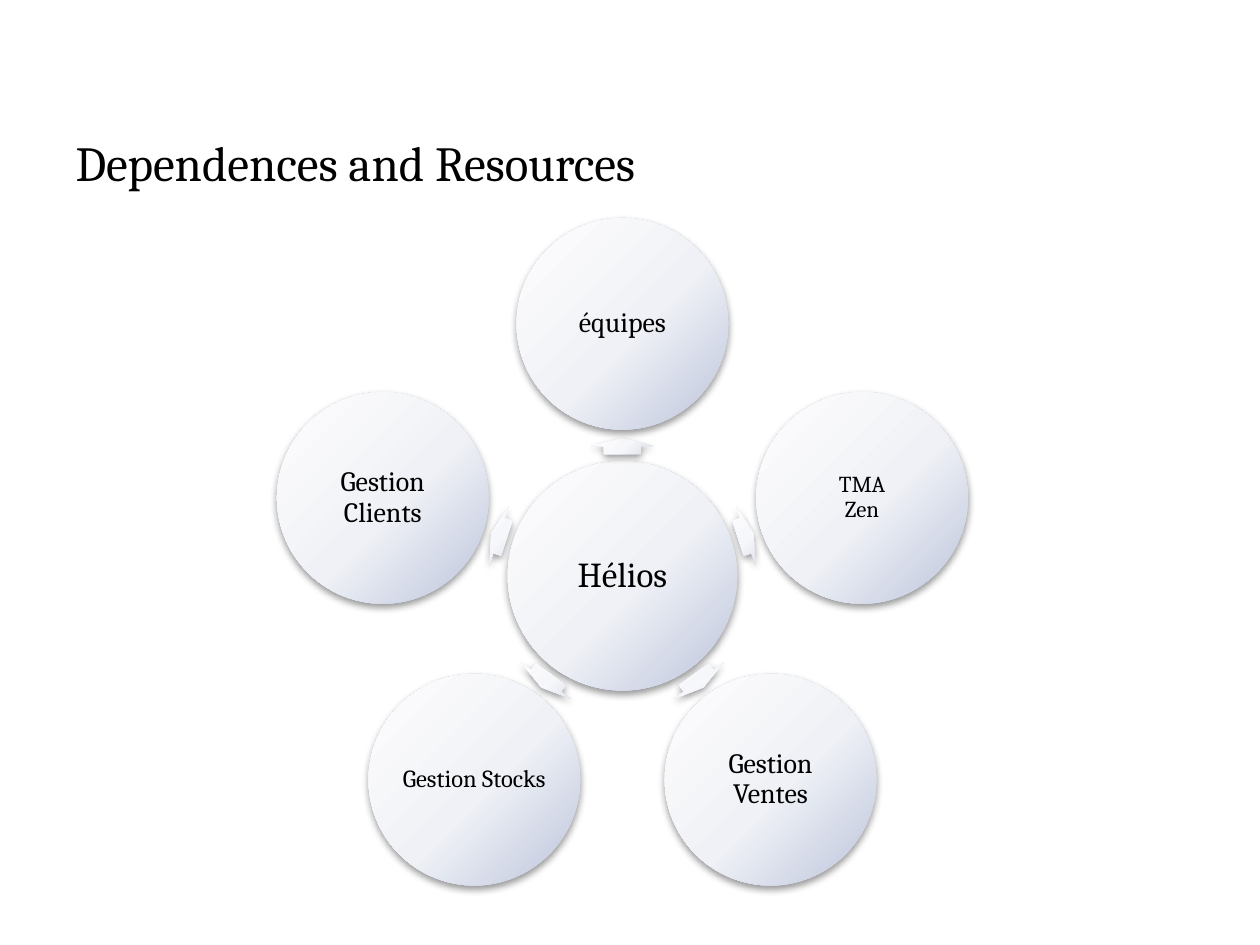
from math import cos, radians, sin

from pptx import Presentation
from pptx.dml.color import RGBColor
from pptx.enum.shapes import MSO_SHAPE
from pptx.enum.text import MSO_ANCHOR, PP_ALIGN
from pptx.oxml import parse_xml
from pptx.oxml.ns import nsdecls
from pptx.util import Inches, Pt

ELLIPSE, ARROW = MSO_SHAPE.OVAL, MSO_SHAPE.RIGHT_ARROW
TOP, MIDDLE = MSO_ANCHOR.TOP, MSO_ANCHOR.MIDDLE
LEFT, CENTER = PP_ALIGN.LEFT, PP_ALIGN.CENTER

FONT = "Cambria"
BLACK = RGBColor(0x00, 0x00, 0x00)
# Gradient colours at 0, 55 and 100 percent
CIRCLE_COLORS = [RGBColor(0xFE, 0xFE, 0xFE), RGBColor(0xEF, 0xF1, 0xF6), RGBColor(0xBC, 0xC4, 0xDB)]
ARROW_COLORS = [RGBColor(0xFE, 0xFE, 0xFF), RGBColor(0xF6, 0xF7, 0xFA), RGBColor(0xDA, 0xDE, 0xEA)]
STOPS = (0, 55, 100)

# Radial layout, in inches
HUB_X, HUB_Y, HUB_SIZE = 4.94, 4.57, 1.82
NODE_SIZE, NODE_RADIUS = 1.68, 2.0
ARROW_LENGTH, ARROW_WIDTH, ARROW_RADIUS = 0.13, 0.49, 1.03

# Outer circles clockwise from the top: label, text size
NODES = [
    ("équipes", 16),
    ("TMA\vZen", 13),
    ("Gestion Ventes", 16),
    ("Gestion Stocks", 14),
    ("Gestion\vClients", 16),
]


def style_paragraph(paragraph, size, alignment):
    paragraph.alignment = alignment
    paragraph.font.name = FONT
    paragraph.font.size = Pt(size)
    paragraph.font.color.rgb = BLACK


def add_title(slide, text):
    title = slide.shapes.title
    title.left, title.top = Inches(0.5), Inches(1)
    title.width, title.height = Inches(9), Inches(1)
    title.text_frame.text = text
    title.text_frame.vertical_anchor = TOP
    style_paragraph(title.text_frame.paragraphs[0], 28, LEFT)


def apply_gradient(shape, colors):
    stops = "".join(
        f'<a:gs pos="{stop * 1000}"><a:srgbClr val="{color}"/></a:gs>'
        for stop, color in zip(STOPS, colors)
    )
    gradient = parse_xml(
        f'<a:gradFill {nsdecls("a")} rotWithShape="1"><a:gsLst>{stops}</a:gsLst>'
        '<a:path path="circle"><a:fillToRect l="-40000" t="-90000" r="140000" b="190000"/>'
        "</a:path></a:gradFill>"
    )
    shape.line.fill.background()
    shape.line._ln.addprevious(gradient)


def apply_shadow(shape):
    shape.shadow.inherit = False
    effects = shape._element.spPr.find("{*}effectLst")
    effects.append(parse_xml(
        f'<a:outerShdw {nsdecls("a")} blurRad="{Pt(4.1)}" dist="{Pt(2)}" dir="5400000" '
        'rotWithShape="0"><a:srgbClr val="000000"><a:alpha val="40000"/></a:srgbClr>'
        "</a:outerShdw>"
    ))


def add_centered_shape(slide, kind, x, y, width, height, colors):
    shape = slide.shapes.add_shape(
        kind, Inches(x - width / 2), Inches(y - height / 2), Inches(width), Inches(height)
    )
    apply_gradient(shape, colors)
    apply_shadow(shape)
    return shape


def add_circle(slide, x, y, diameter, label, size):
    circle = add_centered_shape(slide, ELLIPSE, x, y, diameter, diameter, CIRCLE_COLORS)
    frame = circle.text_frame
    frame.word_wrap = True
    frame.vertical_anchor = MIDDLE
    frame.margin_left = frame.margin_right = Inches(0.02)
    frame.margin_top = frame.margin_bottom = Inches(0.02)
    frame.text = label
    paragraph = frame.paragraphs[0]
    paragraph.line_spacing = 0.9
    style_paragraph(paragraph, size, CENTER)


def add_arrow(slide, x, y, angle):
    arrow = add_centered_shape(slide, ARROW, x, y, ARROW_LENGTH, ARROW_WIDTH, ARROW_COLORS)
    arrow.adjustments[0] = 0.6
    arrow.adjustments[1] = 0.5
    arrow.rotation = angle % 360


def point_around_hub(radius, angle):
    return HUB_X + radius * cos(radians(angle)), HUB_Y + radius * sin(radians(angle))


def main():
    presentation = Presentation()
    presentation.slide_width, presentation.slide_height = Inches(10), Inches(7.5)
    slide = presentation.slides.add_slide(presentation.slide_layouts[5])
    add_title(slide, "Dependences and Resources")

    # Hub, then each arrow with the circle it points to
    add_circle(slide, HUB_X, HUB_Y, HUB_SIZE, "Hélios", 20)
    for index, (label, size) in enumerate(NODES):
        angle = -90 + index * 360 / len(NODES)
        add_arrow(slide, *point_around_hub(ARROW_RADIUS, angle), angle)
        add_circle(slide, *point_around_hub(NODE_RADIUS, angle), NODE_SIZE, label, size)

    presentation.save("out.pptx")


if __name__ == "__main__":
    main()
